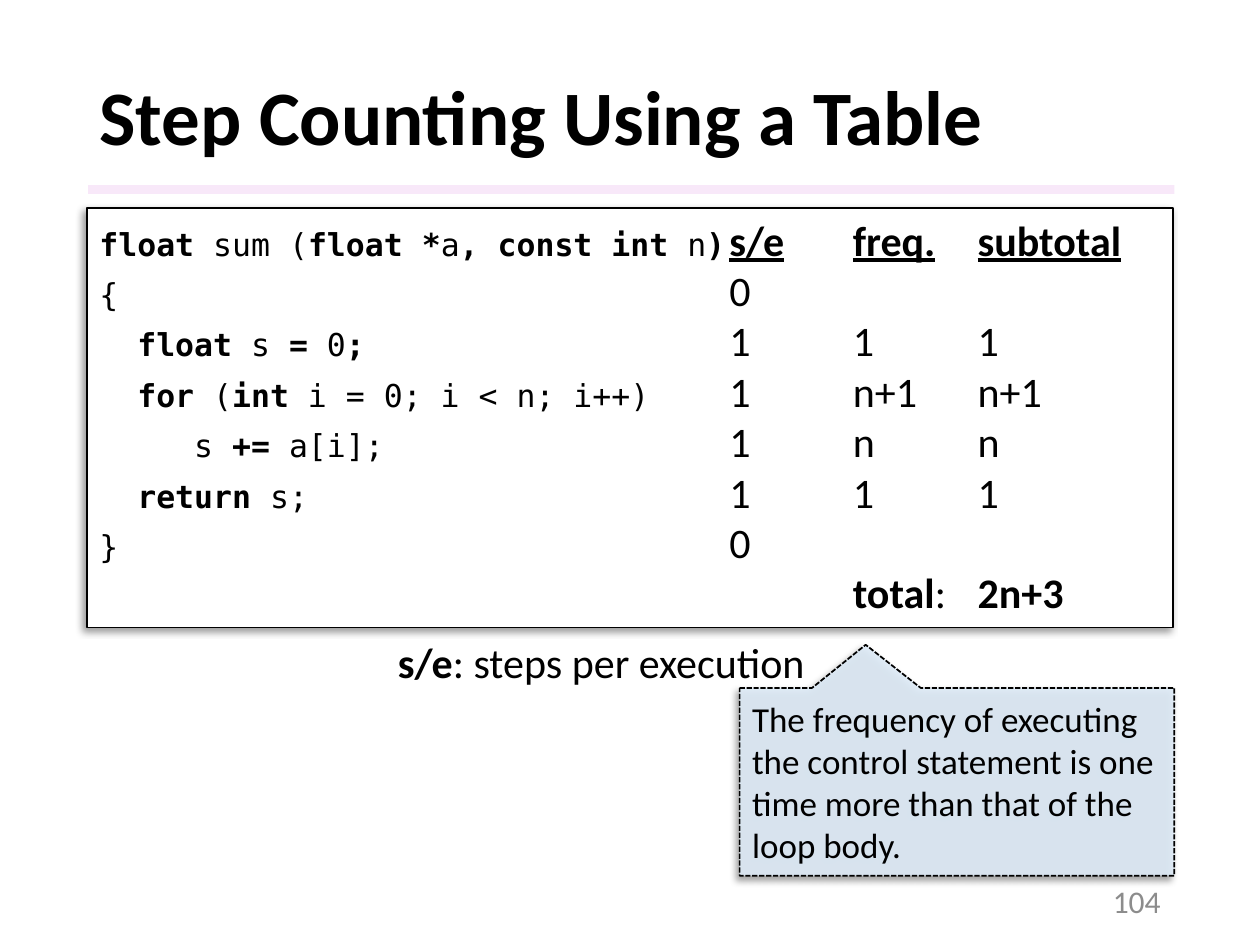
import pptx
import pptx.util
import pptx.oxml
import pptx.oxml.ns
import pptx.dml.color
import pptx.enum.dml
import pptx.enum.shapes
import pptx.enum.text
from dataclasses import dataclass

PX = 9144
NS = pptx.oxml.ns.nsdecls("a")
qn = pptx.oxml.ns.qn
SHAPE = pptx.enum.shapes.MSO_SHAPE
ANCHOR = pptx.enum.text.MSO_ANCHOR
ALIGN = pptx.enum.text.PP_ALIGN


@dataclass(frozen=True)
class Theme:
    """Colours, fonts and type sizes of the slide."""
    ink: str = "000000"
    muted: str = "8C8C8C"
    paper: str = "FFFFFF"
    rule: str = "F3D2F4"
    callout: str = "DEEBF7"
    text: str = "Calibri"
    mono: str = "DejaVu Sans Mono"
    title: int = 44
    body: int = 24
    small: int = 20
    code: int = 18


T = Theme()
TABS = (500, 598, 697)
HEADS = ("s/e", "freq.", "subtotal")
# Code segments alternate bold and regular at each bar.
STEPS = (
    ("|{", ("0", "", "")),
    ("|  |float| s |=| 0|;", ("1", "1", "1")),
    ("  for |(|int| i = 0; i < n; i++)", ("1", "n+1", "n+1")),
    ("|     s |+=| a[i];", ("1", "n", "n")),
    ("  return |s;", ("1", "1", "1")),
    ("|}", ("0", "", "")),
)


def rgb(value):
    """Return a colour object for a hex string."""
    return pptx.dml.color.RGBColor.from_string(value)


def place(s, box):
    """Move a shape to a box given in px."""
    for name, value in zip(("left", "top", "width", "height"), box):
        setattr(s, name, value * PX)


def add_run(p, text, color=T.ink, **fmt):
    """Append a run with the given font values."""
    r = p.add_run()
    r.text = text
    for name, value in {"name": T.text, "size": T.body, "bold": False, **fmt}.items():
        setattr(r.font, name, pptx.util.Pt(value) if name == "size" else value)
    r.font.color.rgb = rgb(color)


def set_frame(s, anchor=ANCHOR.TOP, align=ALIGN.LEFT):
    """Make a shape's text wrap and return its text frame."""
    tf = s.text_frame
    tf.word_wrap = True
    tf.vertical_anchor = anchor
    tf.paragraphs[0].alignment = align
    return tf


def add_box(slide, kind, box, fill, opacity=100, outlined=True):
    """Add a filled shape, outlined and shadowed if asked."""
    s = slide.shapes.add_shape(kind, *(v * PX for v in box))
    s.shadow.inherit = False
    s.fill.solid()
    s.fill.fore_color.rgb = rgb(fill)
    if opacity < 100:
        color = s.fill._xPr.find(qn("a:solidFill")).find(qn("a:srgbClr"))
        color.append(pptx.oxml.parse_xml(f'<a:alpha {NS} val="{opacity * 1000}"/>'))
    if not outlined:
        s.line.fill.background()
        return s
    s.line.color.rgb = rgb(T.ink)
    s.line.width = pptx.util.Pt(1)
    s._element.spPr.find(qn("a:effectLst")).append(pptx.oxml.parse_xml(
        f'<a:outerShdw {NS} blurRad="50800" dist="38100" dir="8100000" algn="tr" '
        f'rotWithShape="0"><a:srgbClr val="{T.ink}"><a:alpha val="40000"/>'
        '</a:srgbClr></a:outerShdw>'))
    return s


def add_header(slide, box):
    """Fill the title and draw the rule under it."""
    x, y, w, h = box
    add_box(slide, SHAPE.RECTANGLE, (x + 1, y + h - 4, w, 7), T.rule, 50, False)
    title = slide.shapes.title
    place(title, box)
    p = set_frame(title, ANCHOR.MIDDLE).paragraphs[0]
    p.line_spacing = 0.9
    add_run(p, "Step Counting Using a Table", size=T.title, bold=True)


def add_row(tf, first=False):
    """Start a left-aligned paragraph with the column tabs."""
    p = tf.paragraphs[0] if first else tf.add_paragraph()
    p.alignment = ALIGN.LEFT
    stops = "".join(f'<a:tab pos="{t * PX}" algn="l"/>' for t in TABS)
    p._p.get_or_add_pPr().append(pptx.oxml.parse_xml(f"<a:tabLst {NS}>{stops}</a:tabLst>"))
    return p


def add_code(p, code):
    """Write a code line whose segments alternate bold and regular."""
    for i, part in enumerate(code.split("|")):
        if part:
            add_run(p, part, name=T.mono, size=T.code, bold=i % 2 == 0)


def add_step_table(slide, box):
    """Add the framed code with its step counts in tab columns."""
    tf = set_frame(add_box(slide, SHAPE.RECTANGLE, box, T.paper))
    p = add_row(tf, first=True)
    add_code(p, "float| sum (|float *|a|, const int |n|)")
    add_run(p, "\t", bold=True)
    add_run(p, "\t".join(HEADS), bold=True, underline=True)
    for code, counts in STEPS:
        p = add_row(tf)
        add_code(p, code)
        add_run(p, "\t" + "\t".join(counts))
    p = add_row(tf)
    for text, bold in (("\t\t", False), ("total", True), (":\t", False), ("2n+3", True)):
        add_run(p, text, bold=bold)


def add_legend(slide, box):
    """Explain the s/e column."""
    p = set_frame(slide.shapes.add_textbox(*(v * PX for v in box))).paragraphs[0]
    add_run(p, "s/e", bold=True)
    add_run(p, ": steps per execution")


def add_callout(slide, box):
    """Add the dashed callout that points at the frequencies."""
    s = add_box(slide, SHAPE.RECTANGULAR_CALLOUT, box, T.callout, 90)
    s.adjustments[0], s.adjustments[1] = -0.21, -0.73
    s.line.dash_style = pptx.enum.dml.MSO_LINE.SQUARE_DOT
    add_run(set_frame(s, ANCHOR.MIDDLE).paragraphs[0],
            "The frequency of executing the control statement is one time more "
            "than that of the loop body.", size=T.small)


def add_page_number(slide, box):
    """Add the page number at the lower right."""
    s = slide.shapes.add_textbox(*(v * PX for v in box))
    p = set_frame(s, ANCHOR.MIDDLE, ALIGN.RIGHT).paragraphs[0]
    add_run(p, "104", color=T.muted, size=T.code)


def main():
    """Build and save the slide."""
    prs = pptx.Presentation()
    prs.slide_width, prs.slide_height = 1000 * PX, 750 * PX
    slide = prs.slides.add_slide(prs.slide_layouts.get_by_name("Title Only"))
    add_header(slide, (69, 40, 862, 111))
    add_page_number(slide, (706, 695, 225, 40))
    add_step_table(slide, (69, 165, 862, 333))
    add_legend(slide, (306, 500, 420, 91))
    add_callout(slide, (587, 546, 345, 149))
    prs.save("out.pptx")


if __name__ == "__main__":
    main()
